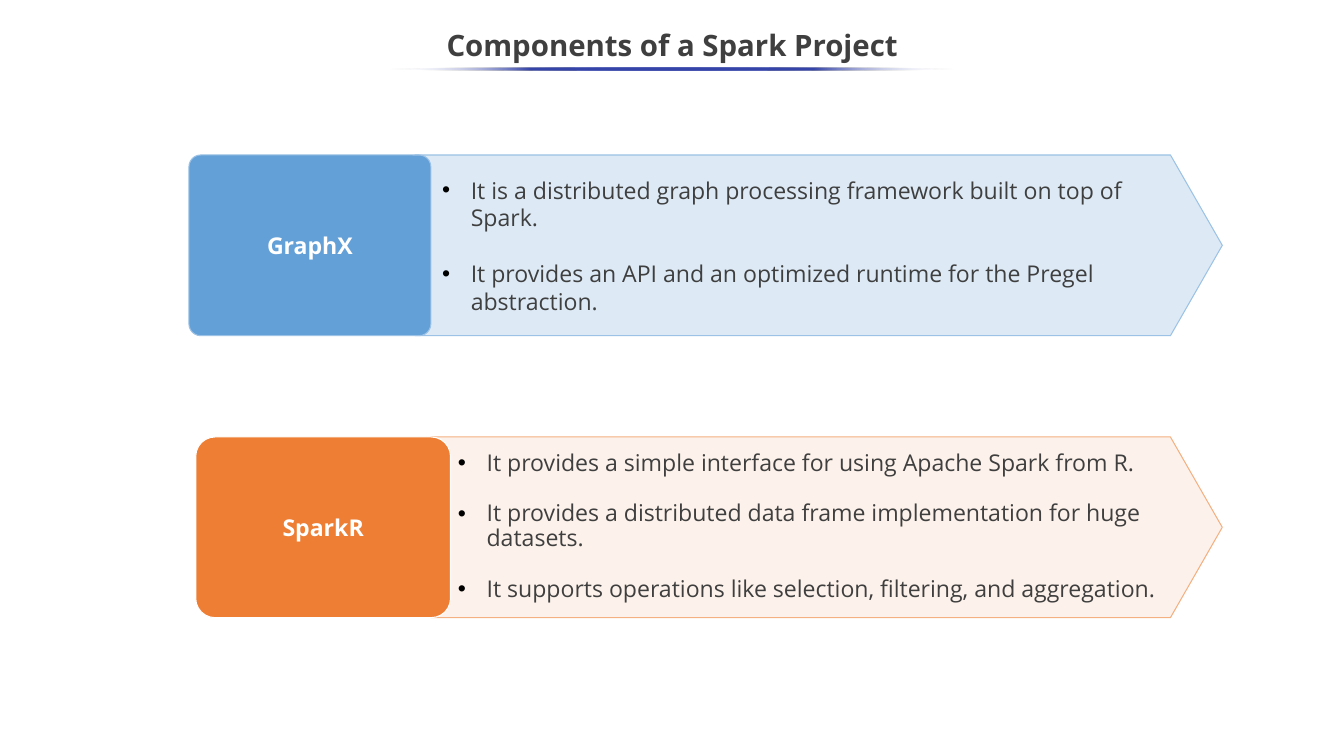
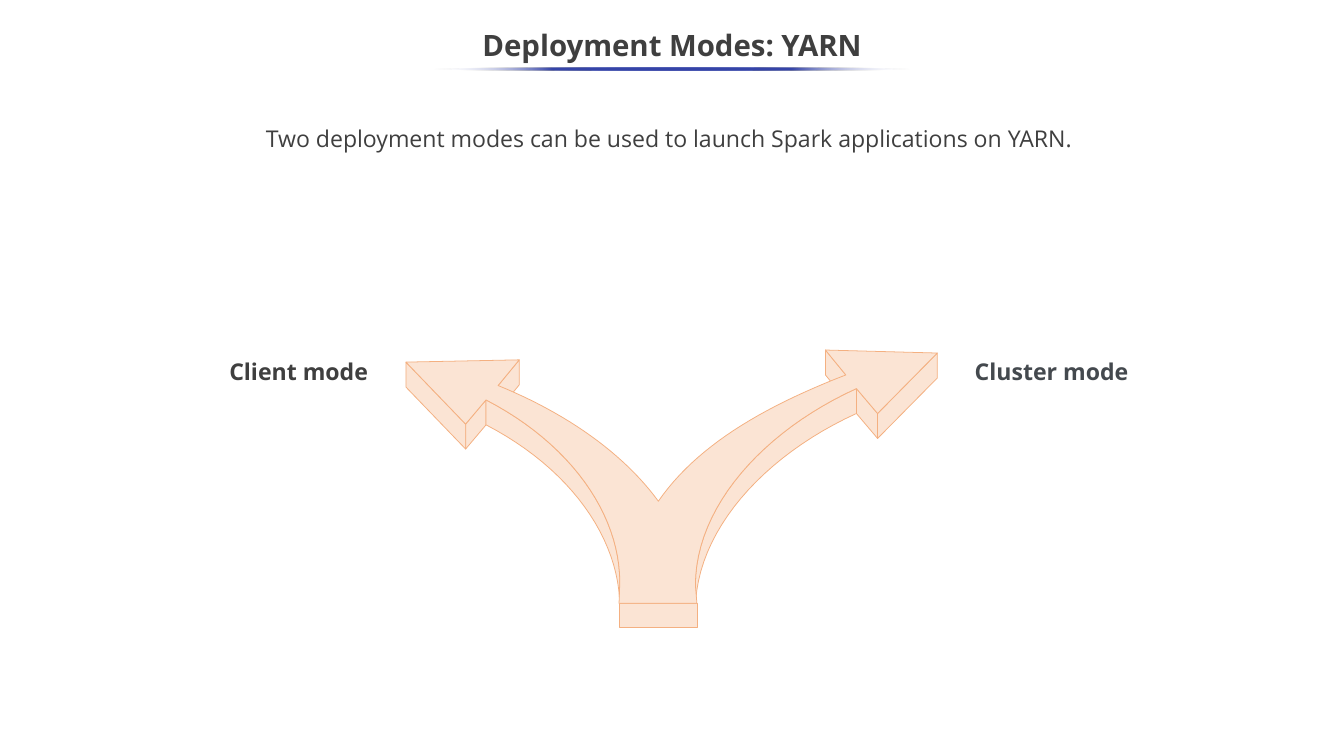
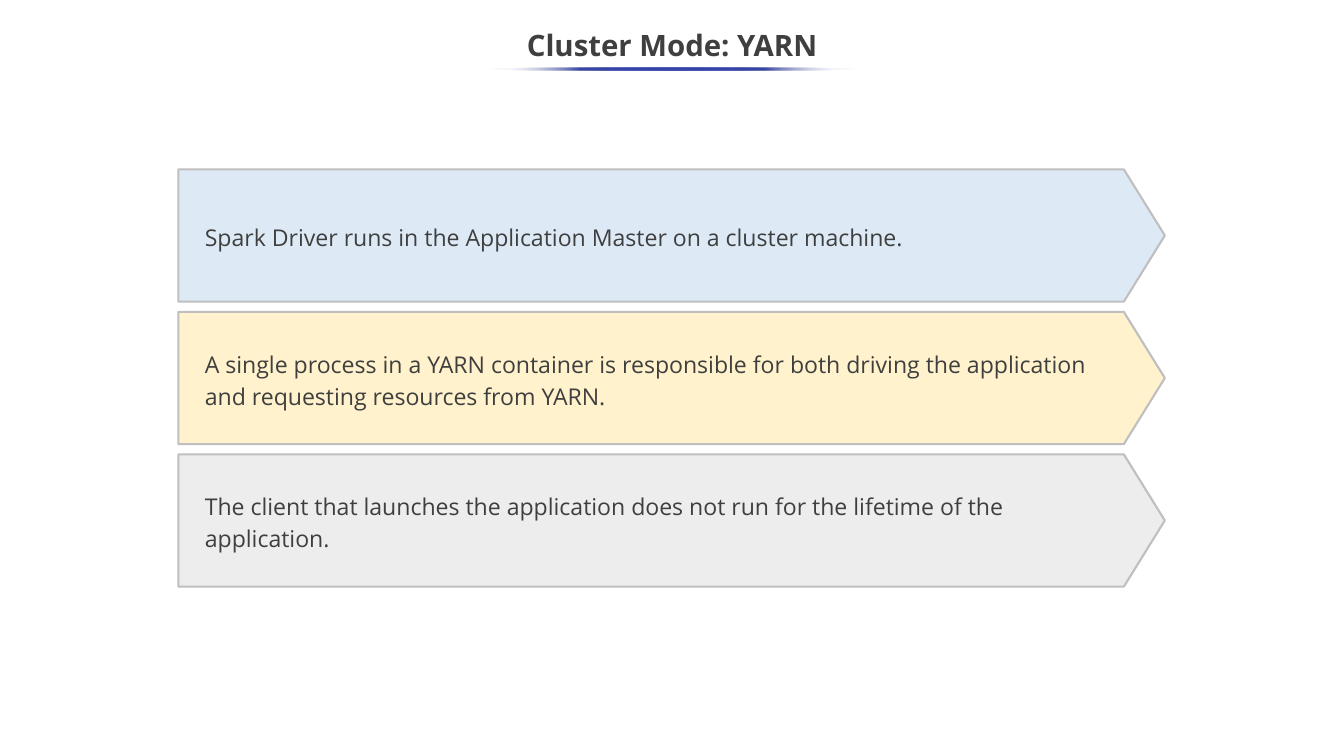
from lxml.etree import SubElement
from pptx import Presentation
from pptx.dml.color import RGBColor
from pptx.enum.shapes import MSO_SHAPE
from pptx.enum.text import MSO_ANCHOR, PP_ALIGN
from pptx.oxml.ns import qn
from pptx.util import Inches, Pt

FONT = "Open Sans"
WHITE = RGBColor(0xFF, 0xFF, 0xFF)
DARK = RGBColor(0x3F, 0x3F, 0x3F)
SLATE = RGBColor(0x44, 0x49, 0x4E)
NAVY = RGBColor(0x36, 0x45, 0xA9)
BLUE = RGBColor(0x63, 0xA0, 0xD7)
SKY = RGBColor(0x9C, 0xC2, 0xE5)
PALE = RGBColor(0xDD, 0xEA, 0xF6)
ORANGE = RGBColor(0xED, 0x7E, 0x33)
PEACH = RGBColor(0xF4, 0xB0, 0x81)
SAND = RGBColor(0xF7, 0xCA, 0xAC)
CREAM = RGBColor(0xFB, 0xE4, 0xD4)
YELLOW = RGBColor(0xFF, 0xF2, 0xCC)
LIGHT = RGBColor(0xED, 0xED, 0xED)
GREY = RGBColor(0xBF, 0xBF, 0xBF)


def block(slide, box, lines=(), kind=None, fill=None, edge=None, width=1, size=22,
          color=DARK, bold=False, align=PP_ALIGN.CENTER, anchor=MSO_ANCHOR.MIDDLE,
          space=1.0, gap=0, bullet=False):
    """Add a shape, or a text box when no kind is given, with its paragraphs."""
    spot = [Inches(v) for v in box]
    if kind is None:
        shape = slide.shapes.add_textbox(*spot)
    else:
        shape = slide.shapes.add_shape(kind, *spot)
        shape.shadow.inherit = False
        if fill is not None:
            shape.fill.solid()
            shape.fill.fore_color.rgb = fill
        if edge is None:
            shape.line.fill.background()
        else:
            shape.line.color.rgb = edge
            shape.line.width = Pt(width)
    frame = shape.text_frame
    frame.word_wrap = True
    frame.vertical_anchor = anchor
    for i, line in enumerate(lines):
        para = frame.add_paragraph() if i else frame.paragraphs[0]
        para.text = line
        if bullet:
            props = para._p.get_or_add_pPr()
            props.set("marL", str(Inches(0.38)))
            props.set("indent", str(-Inches(0.38)))
            tint = SubElement(props, qn("a:buClr"))
            SubElement(tint, qn("a:srgbClr"), val="000000")
            SubElement(props, qn("a:buFont"), typeface="Arial")
            SubElement(props, qn("a:buChar"), char="•")
        para.alignment = align
        para.line_spacing = space
        if i and gap:
            para.space_before = Pt(gap)
        para.font.name = FONT
        para.font.size = Pt(size)
        para.font.bold = bold
        para.font.color.rgb = color
    return shape


def bend(a, b, c, d, steps=24):
    """Points along a cubic curve from a to d, pulled by b and c."""
    points = []
    for i in range(steps + 1):
        t = i / steps
        u = 1 - t
        points.append(tuple(u**3 * p + 3 * u * u * t * q + 3 * u * t * t * r + t**3 * s
                            for p, q, r, s in zip(a, b, c, d)))
    return points


deck = Presentation()
deck.slide_width = Inches(17.78)
deck.slide_height = Inches(10)

# Titles, each over a fading rule
slides = []
for title, rule in [("Components of a Spark Project", 7.48),
                    ("Deployment Modes: YARN", 6.32),
                    ("Cluster Mode: YARN", 4.84)]:
    slide = deck.slides.add_slide(deck.slide_layouts[6])
    slides.append(slide)
    block(slide, (0, 0.25, 17.78, 0.75), [title], size=28, bold=True, space=0.9)
    bar = block(slide, (8.89 - rule / 2, 0.89, rule, 0.04), kind=MSO_SHAPE.OVAL)
    bar.fill.gradient()
    bar.fill.gradient_angle = 180
    stops = bar._element.spPr.find(".//" + qn("a:gsLst"))
    stops.clear()
    for place, tint in [(0, WHITE), (25, NAVY), (50, NAVY), (75, NAVY), (100, WHITE)]:
        stop = SubElement(stops, qn("a:gs"), pos=str(place * 1000))
        shade = SubElement(stop, qn("a:srgbClr"), val=str(tint))
        if tint == WHITE:
            SubElement(shade, qn("a:alpha"), val="0")
parts, modes, cluster = slides

# Slide 1: GraphX and SparkR, a label on an arrow with bullets
rows = [
    ("GraphX", 2.05, (5.49, 10.68), (2.5, 3.2), 0.065, PALE, SKY, BLUE, SKY,
     (5.75, 2.27, 9.85, 1.95), MSO_SHAPE.RECTANGLE, 1.0, 26.5,
     ["It is a distributed graph processing framework built on top of Spark.",
      "It provides an API and an optimized runtime for the Pregel abstraction."]),
    ("SparkR", 5.78, (5.7, 10.47), (2.59, 3.37), 0.107, SAND, PEACH, ORANGE, WHITE,
     (5.96, 5.92, 10.37, 2.1), None, 0.9, 24,
     ["It provides a simple interface for using Apache Spark from R.",
      "It provides a distributed data frame implementation for huge datasets.",
      "It supports operations like selection, filtering, and aggregation."]),
]
for (name, top, (left, wide), (start, span), curve, fill, edge, tone, rim,
     box, kind, space, gap, lines) in rows:
    arrow = block(parts, (left, top, wide, 2.39), kind=MSO_SHAPE.PENTAGON,
                  fill=fill, edge=edge)
    arrow.adjustments[0] = 0.287
    if fill == SAND:
        shade = arrow._element.spPr.find(qn("a:solidFill"))[0]
        SubElement(shade, qn("a:alpha"), val="24000")
    label = block(parts, (start, top, span, 2.39), [name], MSO_SHAPE.ROUNDED_RECTANGLE,
                  tone, rim, color=WHITE, bold=True)
    label.adjustments[0] = curve
    block(parts, box, lines, kind, PALE, align=PP_ALIGN.LEFT, space=space, gap=gap,
          bullet=True)

# Slide 2: forked arrow, its side faces dropped from the edges of its top
DEPTH = 0.33
west = bend((6.43, 5.29), (7.55, 5.87), (8.2, 6.8), (8.2, 7.7))
east = bend((11.33, 5.14), (10.1, 5.7), (9.2, 6.7), (9.2, 7.74))
inner = (bend((6.59, 5.1), (7.5, 5.47), (8.25, 6), (8.71, 6.63))
         + bend((8.71, 6.63), (9.2, 5.92), (10.05, 5.4), (11.19, 4.96)))
edges = [
    [(11.19, 4.96), (10.92, 4.63)],
    [(6.87, 4.76), (6.59, 5.1)],
    [(11.33, 5.14), (11.61, 5.47)],
    [(6.43, 5.29), (6.16, 5.61)],
    [(12.4, 4.67), (11.61, 5.47)],
    [(5.37, 4.79), (6.16, 5.61)],
    west,
    east,
]
faces = [edge + [(x, y + DEPTH) for x, y in reversed(edge)] for edge in edges]
faces.append([(8.19, 7.98), (9.22, 7.98), (9.22, 8.3), (8.19, 8.3)])
faces.append([(10.92, 4.63), (12.4, 4.67), (11.61, 5.47)] + east
             + [(9.22, 7.98), (8.19, 7.98)] + west[::-1]
             + [(6.16, 5.61), (5.37, 4.79), (6.87, 4.76)] + inner)
for face in faces:
    spots = [(Inches(x), Inches(y)) for x, y in face]
    pen = modes.shapes.build_freeform(*spots[0])
    pen.add_line_segments(spots[1:], close=True)
    side = pen.convert_to_shape()
    side.shadow.inherit = False
    side.fill.solid()
    side.fill.fore_color.rgb = CREAM
    side.line.color.rgb = PEACH
    side.line.width = Pt(0.75)

for left, name, tone in [(12.5, "Cluster mode", SLATE), (2.54, "Client mode", DARK)]:
    block(modes, (left, 4.68, 2.82, 0.47), [name], color=tone, bold=True,
          anchor=MSO_ANCHOR.TOP)
intro = block(modes, (1.36, 1.65, 14.98, 0.99),
              ["Two deployment modes can be used to launch Spark applications on YARN."],
              anchor=MSO_ANCHOR.TOP)
intro.text_frame.margin_top = intro.text_frame.margin_bottom = 0

# Slide 3: three stacked arrows
facts = [
    (PALE, "Spark Driver runs in the Application Master on a cluster machine."),
    (YELLOW, "A single process in a YARN container is responsible for both driving "
             "the application and requesting resources from YARN."),
    (LIGHT, "The client that launches the application does not run for the lifetime "
            "of the application."),
]
for i, (fill, fact) in enumerate(facts):
    arrow = block(cluster, (2.36, 2.24 + i * 1.885, 13.05, 1.75), [fact],
                  MSO_SHAPE.PENTAGON, fill, GREY, 2, align=PP_ALIGN.LEFT, space=1.15)
    arrow.adjustments[0] = 0.31
    arrow.text_frame.margin_left = Inches(0.35)
    arrow.text_frame.margin_right = Inches(0.43)

deck.save("out.pptx")
